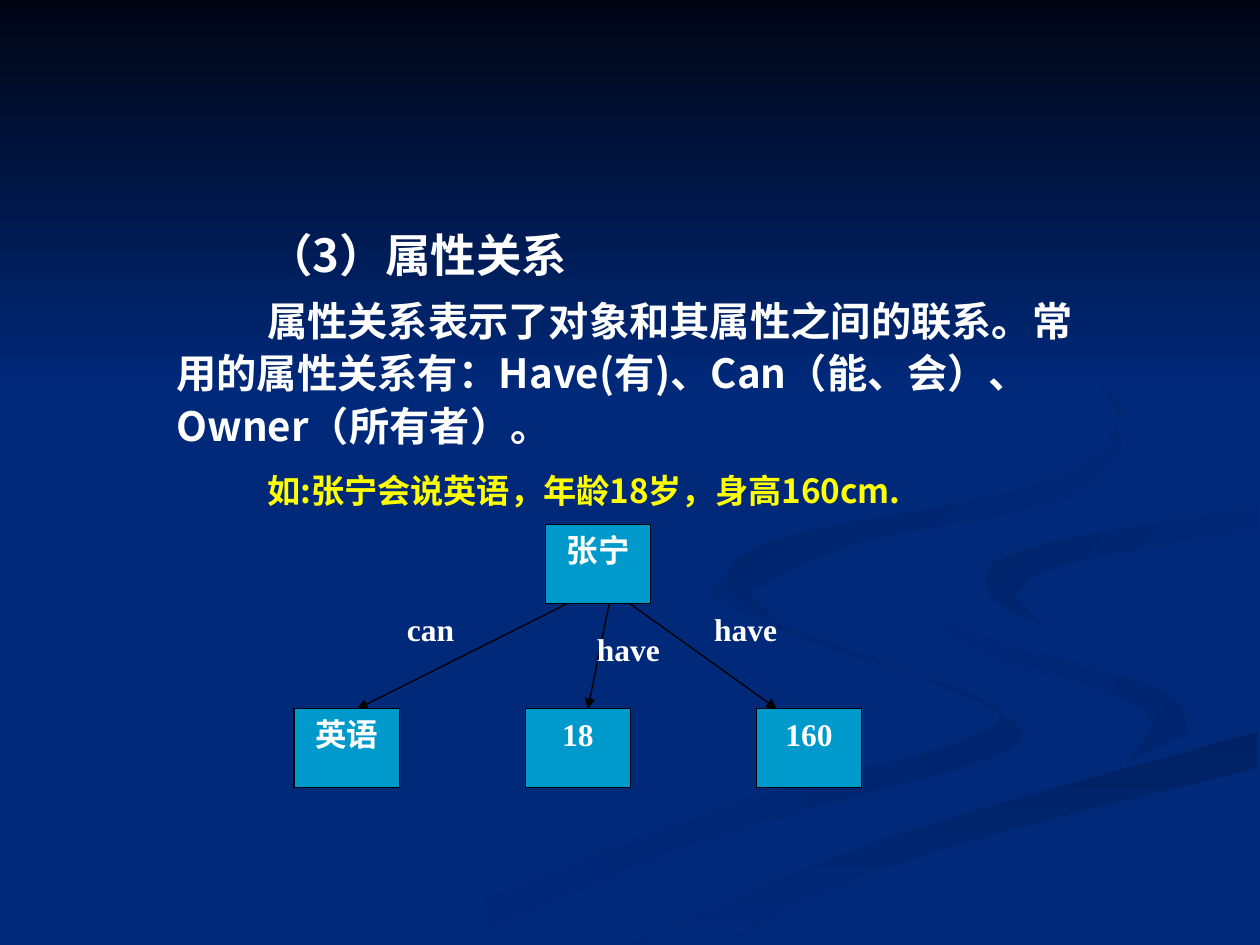
"""Build the slide on attribute relations with its small semantic network."""

from dataclasses import dataclass

from lxml.etree import SubElement
from pptx import Presentation
from pptx.dml.color import RGBColor
from pptx.enum.shapes import MSO_CONNECTOR, MSO_SHAPE
from pptx.enum.text import MSO_ANCHOR, MSO_AUTO_SIZE, PP_ALIGN
from pptx.oxml.ns import qn
from pptx.util import Cm, Pt

COLORS = {
    "background": "00297A", "night": "000514", "wave": "00256F", "band": "002264",
    "edge": "00246B", "swirl": "002367", "node": "0099CC", "line": "000000",
    "text": "FFFFFF", "example": "FFFF00",
}
SANS, SERIF = "Noto Sans CJK SC", "Times New Roman"
NODE_WIDTH, NODE_HEIGHT = 2.12, 1.59
ROOT_LEFT, ROOT_TOP = 11, 10.58
LEAF_LEFT, LEAF_TOP, LEAF_PITCH = 5.93, 14.29, 4.66
CURVE_STEPS = 6

Point = tuple[float, float]


@dataclass
class Wave:
    """A ribbon between two smooth edges, in hundredths of an inch."""
    there: list[Point]
    back: list[Point]
    start: str
    end: str
    angle: int


@dataclass
class Branch:
    """A leaf of the network with its arrow and label, in centimetres."""
    text: str
    relation: str
    arrow_start: float
    arrow_end: float
    label_left: float
    label_top: float


@dataclass
class Entry:
    """A paragraph of the body."""
    text: str
    size: int
    color: str
    before: float
    spacing: Pt | None


WAVES = [
    Wave([(575, 459), (570, 476), (654, 513), (781, 556), (767, 587), (579, 639), (300, 749)],
         [(361, 749), (564, 665), (786, 601), (795, 567), (682, 519), (594, 485), (575, 459)],
         "background", "wave", 0),
    Wave([(724, 464), (766, 512), (907, 562), (894, 605)],
         [(943, 581), (919, 547), (774, 503), (724, 464)],
         "background", "wave", 45),
    Wave([(503, 749), (630, 693), (764, 647), (998, 581)],
         [(998, 609), (722, 682), (571, 749)],
         "band", "background", 90),
    Wave([(998, 402), (810, 437), (785, 470), (826, 496)],
         [(805, 472), (843, 448), (998, 420)],
         "edge", "background", 45),
    Wave([(762, 233), (885, 320), (830, 382), (625, 426), (577, 462), (622, 500)],
         [(593, 470), (683, 430), (855, 391), (886, 316), (762, 233)],
         "swirl", "background", 45),
]

BRANCHES = [
    Branch("英语", "can", 11.43, 7.2, 7.62, 12.17),
    Branch("18", "have", 12.28, 11.85, 11.61, 12.57),
    Branch("160", "have", 12.7, 15.66, 13.97, 12.17),
]

ENTRIES = [
    Entry("（3）属性关系", 26, "text", 0, None),
    Entry("属性关系表示了对象和其属性之间的联系。常用的属性关系有：Have(有)、Can（能、会）、"
          "Owner（所有者）。", 23, "text", 5.8, Pt(30)),
    Entry("如:张宁会说英语，年龄18岁，身高160cm.", 19, "example", 4.8, Pt(30)),
]


def color(name: str) -> RGBColor:
    """Return a named colour."""
    return RGBColor.from_string(COLORS[name])


def write(paragraph, text: str, *, size: float = 18, font: str = SERIF,
          ink: str = "text", align=PP_ALIGN.CENTER) -> None:
    """Add bold text to a paragraph in the given format."""
    paragraph.alignment = align
    run = paragraph.add_run()
    run.text = text
    run.font.size, run.font.bold, run.font.name = Pt(size), True, font
    run.font.color.rgb = color(ink)
    SubElement(run.font._element, qn("a:ea")).set("typeface", SANS)


def shade(shape, start: str, end: str, angle: int) -> None:
    """Give a shape a two-colour gradient at a clockwise angle and no outline."""
    shape.shadow.inherit = False
    shape.line.fill.background()
    shape.fill.gradient()
    shape.fill.gradient_angle = -angle % 360
    for stop, name in zip(shape.fill.gradient_stops, (start, end)):
        stop.color.rgb = color(name)


def smooth(points: list[Point]) -> list[Point]:
    """Return a Catmull-Rom curve through the points."""
    padded = [points[0], *points, points[-1]]
    curve = [points[0]]
    for before, first, second, after in zip(padded, padded[1:], padded[2:], padded[3:]):
        for step in range(1, CURVE_STEPS + 1):
            t = step / CURVE_STEPS
            curve.append(tuple(
                b + (c - a) * t / 2 + (2 * a - 5 * b + 4 * c - d) * t ** 2 / 2
                + (3 * b - a - 3 * c + d) * t ** 3 / 2
                for a, b, c, d in zip(before, first, second, after)))
    return curve


def draw_wave(slide, wave: Wave) -> None:
    """Draw one ribbon of the backdrop."""
    outline = smooth(wave.there) + smooth(wave.back)
    builder = slide.shapes.build_freeform(*outline[0], scale=Cm(2.54) / 100)
    builder.add_line_segments(outline[1:], close=True)
    shade(builder.convert_to_shape(), wave.start, wave.end, wave.angle)


def draw_body(slide, entries: list[Entry]) -> None:
    """Fill the body placeholder and bring it in front of the backdrop."""
    body = slide.placeholders[1]
    body.left, body.top, body.width, body.height = Cm(3.02), Cm(4.45), Cm(19.35), Cm(12.57)
    slide.shapes._spTree.append(body._element)
    frame = body.text_frame
    frame.auto_size, frame.vertical_anchor = MSO_AUTO_SIZE.NONE, MSO_ANCHOR.TOP
    for index, entry in enumerate(entries):
        paragraph = frame.add_paragraph() if index else frame.paragraphs[0]
        properties = paragraph._p.get_or_add_pPr()
        properties.set("marL", str(Cm(0.28)))
        properties.set("indent", str(Cm(1.83)))
        SubElement(properties, qn("a:buNone"))
        paragraph.space_before = Pt(entry.before)
        paragraph.line_spacing = entry.spacing
        write(paragraph, entry.text, size=entry.size, font=SANS, ink=entry.color,
              align=PP_ALIGN.LEFT)


def draw_node(slide, text: str, left: float, top: float) -> None:
    """Draw a box of the network."""
    shape = slide.shapes.add_shape(MSO_SHAPE.RECTANGLE, Cm(left), Cm(top),
                                   Cm(NODE_WIDTH), Cm(NODE_HEIGHT))
    shape.shadow.inherit = False
    shape.fill.solid()
    shape.fill.fore_color.rgb = color("node")
    shape.line.color.rgb = color("line")
    shape.line.width = Pt(0.75)
    shape.text_frame.vertical_anchor = MSO_ANCHOR.TOP
    write(shape.text_frame.paragraphs[0], text)


def draw_branch(slide, branch: Branch, column: int) -> None:
    """Draw a leaf, the arrow from the root to it and the relation."""
    draw_node(slide, branch.text, LEAF_LEFT + column * LEAF_PITCH, LEAF_TOP)
    arrow = slide.shapes.add_connector(
        MSO_CONNECTOR.STRAIGHT, Cm(branch.arrow_start), Cm(ROOT_TOP + NODE_HEIGHT),
        Cm(branch.arrow_end), Cm(LEAF_TOP))
    arrow.line.color.rgb = color("line")
    arrow.line.width = Pt(0.75)
    SubElement(arrow.line._get_or_add_ln(), qn("a:tailEnd")).set("type", "triangle")
    SubElement(arrow._element.spPr, qn("a:effectLst"))
    label = slide.shapes.add_textbox(Cm(branch.label_left), Cm(branch.label_top),
                                     Cm(NODE_WIDTH), Cm(NODE_HEIGHT))
    label.text_frame.word_wrap = True
    write(label.text_frame.paragraphs[0], branch.relation)


def main() -> None:
    """Create and save the presentation."""
    presentation = Presentation()
    presentation.slide_width, presentation.slide_height = Cm(25.4), Cm(19.05)
    slide = presentation.slides.add_slide(presentation.slide_layouts[1])
    title = slide.shapes.title._element
    title.getparent().remove(title)
    slide.background.fill.solid()
    slide.background.fill.fore_color.rgb = color("background")
    for wave in WAVES:
        draw_wave(slide, wave)
    sky = slide.shapes.add_shape(MSO_SHAPE.RECTANGLE, 0, 0, Cm(25.4), Cm(7.82))
    shade(sky, "night", "background", 90)
    draw_body(slide, ENTRIES)
    draw_node(slide, "张宁", ROOT_LEFT, ROOT_TOP)
    for column, branch in enumerate(BRANCHES):
        draw_branch(slide, branch, column)
    presentation.save("out.pptx")


if __name__ == "__main__":
    main()
